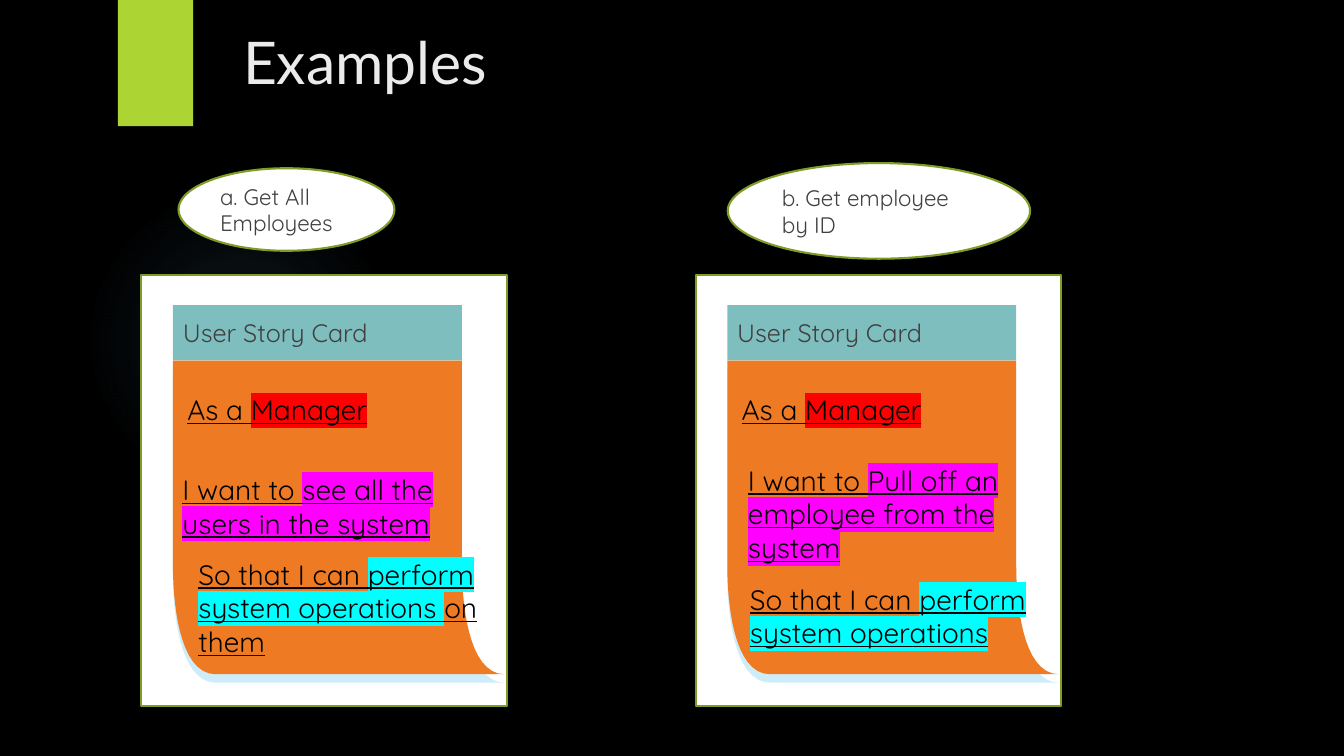
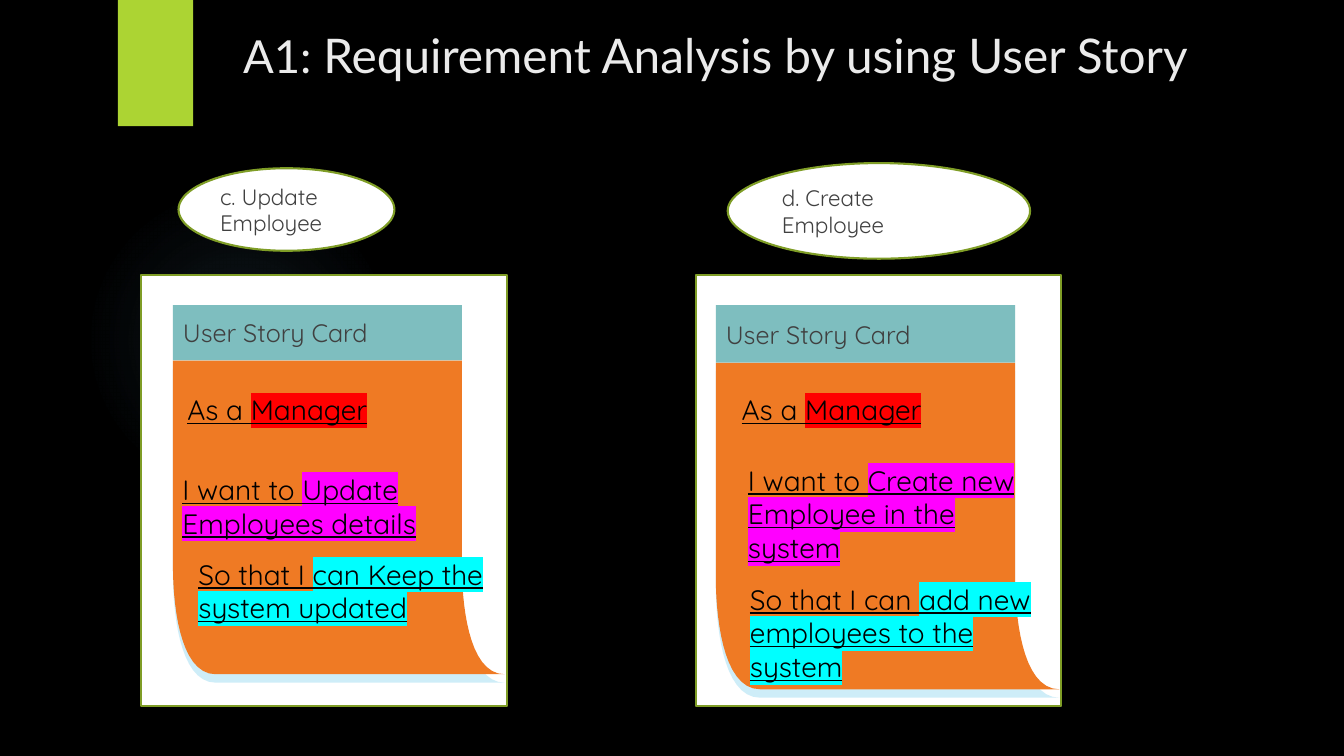
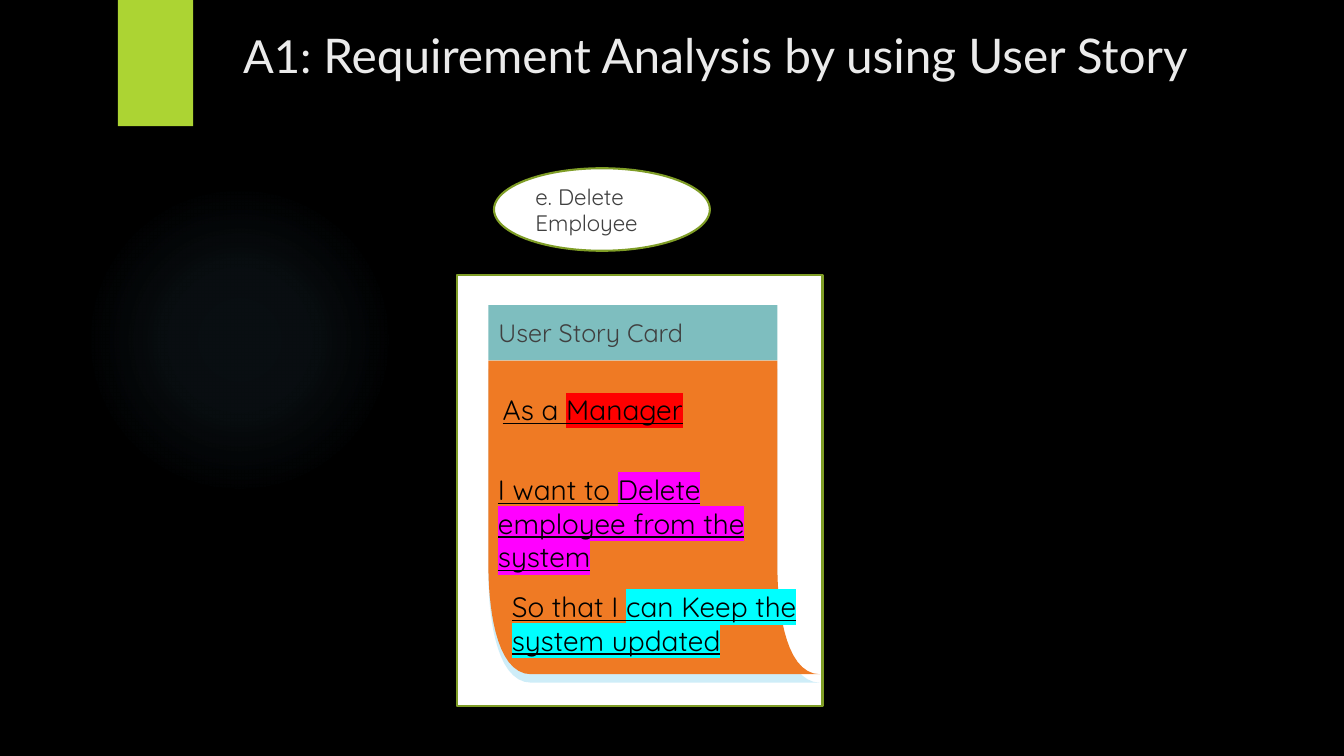
from dataclasses import dataclass, replace

from lxml.etree import SubElement
from pptx import Presentation
from pptx.dml.color import RGBColor
from pptx.enum.shapes import MSO_SHAPE as Preset
from pptx.enum.text import MSO_ANCHOR as Anchor, MSO_AUTO_SIZE as AutoSize, PP_ALIGN as Align
from pptx.oxml.ns import qn
from pptx.util import Cm, Pt

BLACK, WHITE = "000000", "FFFFFF"
TITLE_COLOUR, TEXT_COLOUR = "EBEBEB", "404040"
ACCENT, OUTLINE, GLOW = "ACD433", "7F9D26", "7AC4F0"
HEADER, PAPER, PAPER_SHADOW = "7EBEBF", "EF7A24", "75CEEC"
ROLE_MARK, WANT_MARK, REASON_MARK = "FF0000", "FF00FF", "00FFFF"
TITLE_FONT, BODY_FONT = "Lato", "Quicksand"

CARD_TOP, CARD_WIDTH, CARD_HEIGHT = 6.93, 9.22, 10.87
CURVE_STEPS = 16


@dataclass(frozen=True)
class CardLayout:
    left: float
    bubble: tuple
    scroll: tuple
    want: tuple
    reason: tuple
    role: tuple = (0.91, 2.84, 5.92)


LEFT_CARD = CardLayout(
    3.56, (0.94, -2.69, 5.44, 2.08), (0.8, 0.76, 8.36, 9.3), (0.79, 4.85, 7.7), (1.19, 6.99, 7.7)
)
RIGHT_CARD = CardLayout(
    17.53, (0.81, -2.82, 7.62, 2.41), (0.8, 0.76, 8.36, 9.3), (1.07, 4.62, 7.7), (1.12, 7.62, 8.05)
)
LARGE_RIGHT_CARD = replace(RIGHT_CARD, scroll=(0.51, 0.76, 8.66, 9.68))
CENTRE_CARD = replace(LEFT_CARD, left=11.51, want=(0.79, 4.85, 8.41), reason=(1.14, 7.8, 7.7))

STORY_TITLE = [("A1: ", 32.5), ("Requirement Analysis by using User Story", 34.1)]
SLIDES = [
    ([("Examples", 42)], [
        (LEFT_CARD, "a. Get All Employees",
         ("see all the users in the system", 2),
         ("So that I can ", "perform system operations ", "on them", 3)),
        (RIGHT_CARD, "b. Get employee by ID",
         ("Pull off an employee from the system", 3),
         ("So that I can ", "perform system operations", "", 2)),
    ]),
    (STORY_TITLE, [
        (LEFT_CARD, "c. Update Employee",
         ("Update Employees details", 2),
         ("So that I ", "can Keep the system updated", "", 2)),
        (LARGE_RIGHT_CARD, "d. Create Employee",
         ("Create new Employee in the system", 3),
         ("So that I can ", "add new employees to the system", "", 3)),
    ]),
    (STORY_TITLE, [
        (CENTRE_CARD, "e. Delete Employee",
         ("Delete employee from the system", 3),
         ("So that I ", "can Keep the system updated", "", 2)),
    ]),
]


def colour(value):
    return RGBColor.from_string(value)


def lengths(*values):
    return [Cm(value) for value in values]


def set_font(paragraph, name, value, size=None):
    paragraph.alignment = Align.LEFT
    font = paragraph.font
    font.name = name
    font.color.rgb = colour(value)
    if size:
        font.size = Pt(size)


def add_colour(parent, value, opacity):
    node = SubElement(parent, qn("a:srgbClr"), val=value)
    SubElement(node, qn("a:alpha"), val=str(opacity * 1000))


def style_shape(shape, fill, outline=None):
    shape.shadow.inherit = False
    shape.fill.solid()
    shape.fill.fore_color.rgb = colour(fill)
    if outline:
        shape.line.color.rgb = colour(outline)
        shape.line.width = Pt(1.5)
    else:
        shape.line.fill.background()
    return shape


def add_shadow(shape, value, opacity, blur, distance):
    effects = shape.element.spPr.find(qn("a:effectLst"))
    shadow = SubElement(effects, qn("a:outerShdw"), blurRad=str(Pt(blur)),
                        dist=str(Pt(distance)), dir="5400000", algn="t", rotWithShape="0")
    add_colour(shadow, value, opacity)


def add_glow_fill(shape):
    gradient = shape.element.spPr.find(qn("a:solidFill"))
    gradient.clear()
    gradient.tag = qn("a:gradFill")
    stops = SubElement(gradient, qn("a:gsLst"))
    for position, opacity in ((0, 7), (36, 6), (69, 0)):
        stop = SubElement(stops, qn("a:gs"), pos=str(position * 1000))
        add_colour(stop, GLOW, opacity)
    path = SubElement(gradient, qn("a:path"), path="circle")
    SubElement(path, qn("a:fillToRect"), l="50000", t="50000", r="50000", b="50000")


def decorate_layout(layout, slide):
    title = layout.placeholders[0]
    title.left, title.top, title.width, title.height = lengths(5.87, 0.53, 25.43, 2.36)
    glow = slide.shapes.add_shape(Preset.OVAL, *lengths(2.13, 4.65, 7.82, 7.82))
    band = slide.shapes.add_shape(Preset.RECTANGLE, *lengths(2.97, 0, 1.9, 3.18))
    add_glow_fill(style_shape(glow, GLOW))
    add_shadow(style_shape(band, ACCENT), BLACK, 45, 3, 2)
    for index, shape in enumerate((glow, band)):
        shape.element.nvSpPr.cNvPr.id = 100 + index
        layout.shapes.element.insert(2 + index, shape.element)


def fill_title(title, runs):
    frame = title.text_frame
    frame.auto_size = AutoSize.NONE
    frame.vertical_anchor = Anchor.TOP
    paragraph = frame.paragraphs[0]
    set_font(paragraph, TITLE_FONT, TITLE_COLOUR)
    for text, size in runs:
        run = paragraph.add_run()
        run.text = text
        run.font.size = Pt(size)


def add_bubble(slide, box, text):
    bubble = slide.shapes.add_shape(Preset.OVAL, *lengths(*box))
    style_shape(bubble, WHITE, OUTLINE)
    bubble.text_frame.text = text
    set_font(bubble.text_frame.paragraphs[0], BODY_FONT, TEXT_COLOUR, 16)


def curl_point(step):
    t = step / CURVE_STEPS
    weights = ((1 - t) ** 3, 3 * t * (1 - t) ** 2, 3 * t * t * (1 - t), t ** 3)
    controls = ((0, 0.656), (0, 0.756), (0.015, 1), (0.129, 1))
    return tuple(sum(w * c[axis] for w, c in zip(weights, controls)) for axis in (0, 1))


def add_scroll(slide, box):
    left, top, width, height = box
    header_share = 0.871
    header_height = 0.15 * height
    paper_top, paper_height = top + header_height, height - header_height
    group = slide.shapes.add_group_shape()

    header = group.shapes.add_shape(
        Preset.RECTANGLE, *lengths(left, top, header_share * width, header_height))
    style_shape(header, HEADER)
    frame = header.text_frame
    frame.margin_left = frame.margin_right = frame.margin_top = frame.margin_bottom = Cm(0.25)
    frame.vertical_anchor = Anchor.MIDDLE
    frame.text = "User Story Card"
    set_font(frame.paragraphs[0], BODY_FONT, TEXT_COLOUR, 18)

    curl = [curl_point(step) for step in range(CURVE_STEPS + 1)]
    right_edge = [(x + header_share, y) for x, y in reversed(curl)]
    outline = [(0, 0), *curl, *right_edge, (header_share, 0)]
    points = [lengths(left + x * width, paper_top + y * paper_height) for x, y in outline]
    builder = group.shapes.build_freeform(*points[0])
    builder.add_line_segments(points[1:], close=True)
    paper = style_shape(builder.convert_to_shape(), PAPER)
    add_shadow(paper, PAPER_SHADOW, 35, 0, 6)


def add_sentence(slide, box, parts, mark, lines):
    text_box = slide.shapes.add_textbox(*lengths(*box, 0.26 + 0.85 * lines))
    frame = text_box.text_frame
    frame.word_wrap = True
    frame.auto_size = AutoSize.SHAPE_TO_FIT_TEXT
    paragraph = frame.paragraphs[0]
    set_font(paragraph, BODY_FONT, BLACK, 20)
    paragraph.font.underline = True
    for index, text in enumerate(parts):
        if text:
            run = paragraph.add_run()
            run.text = text
            run.font.underline = True
            if index == 1:
                highlight = SubElement(run.font._element, qn("a:highlight"))
                SubElement(highlight, qn("a:srgbClr"), val=mark)


def add_story(slide, layout, name, want, reason):
    def placed(box):
        return (layout.left + box[0], CARD_TOP + box[1], *box[2:])

    card = slide.shapes.add_shape(
        Preset.RECTANGLE, *lengths(layout.left, CARD_TOP, CARD_WIDTH, CARD_HEIGHT))
    style_shape(card, WHITE, OUTLINE)
    add_scroll(slide, placed(layout.scroll))
    add_sentence(slide, placed(layout.role), ("As a ", "Manager"), ROLE_MARK, 1)
    add_sentence(slide, placed(layout.want), ("I want to ", want[0]), WANT_MARK, want[1])
    add_sentence(slide, placed(layout.reason), reason[:3], REASON_MARK, reason[3])
    add_bubble(slide, placed(layout.bubble), name)


def main():
    presentation = Presentation()
    presentation.slide_width, presentation.slide_height = lengths(33.87, 19.05)
    background = presentation.slide_master.background.fill
    background.solid()
    background.fore_color.rgb = colour(BLACK)
    layout = presentation.slide_layouts[5]
    for number, (title, stories) in enumerate(SLIDES):
        slide = presentation.slides.add_slide(layout)
        if number == 0:
            decorate_layout(layout, slide)
        fill_title(slide.shapes.title, title)
        for story in stories:
            add_story(slide, *story)
    presentation.save("out.pptx")


if __name__ == "__main__":
    main()
